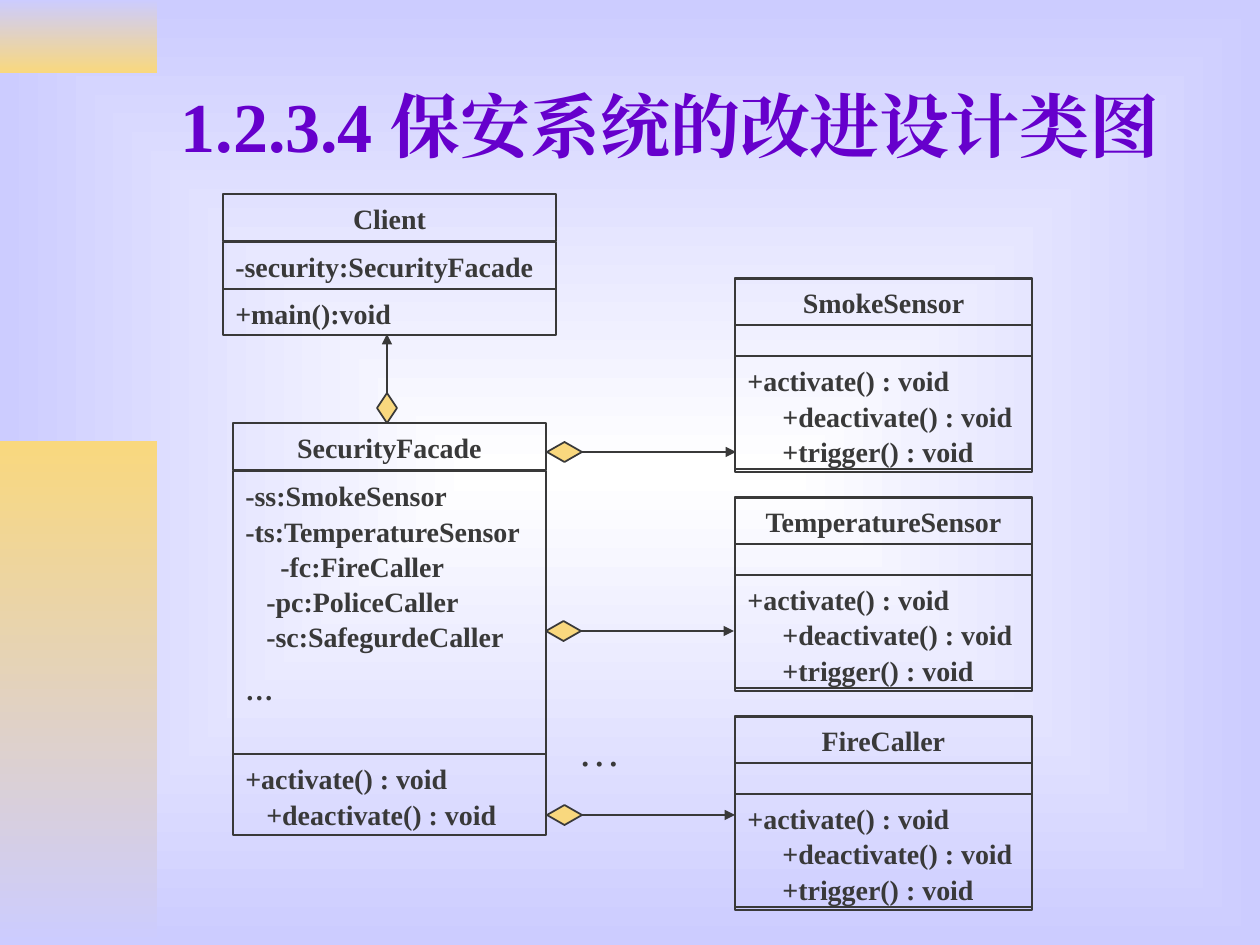
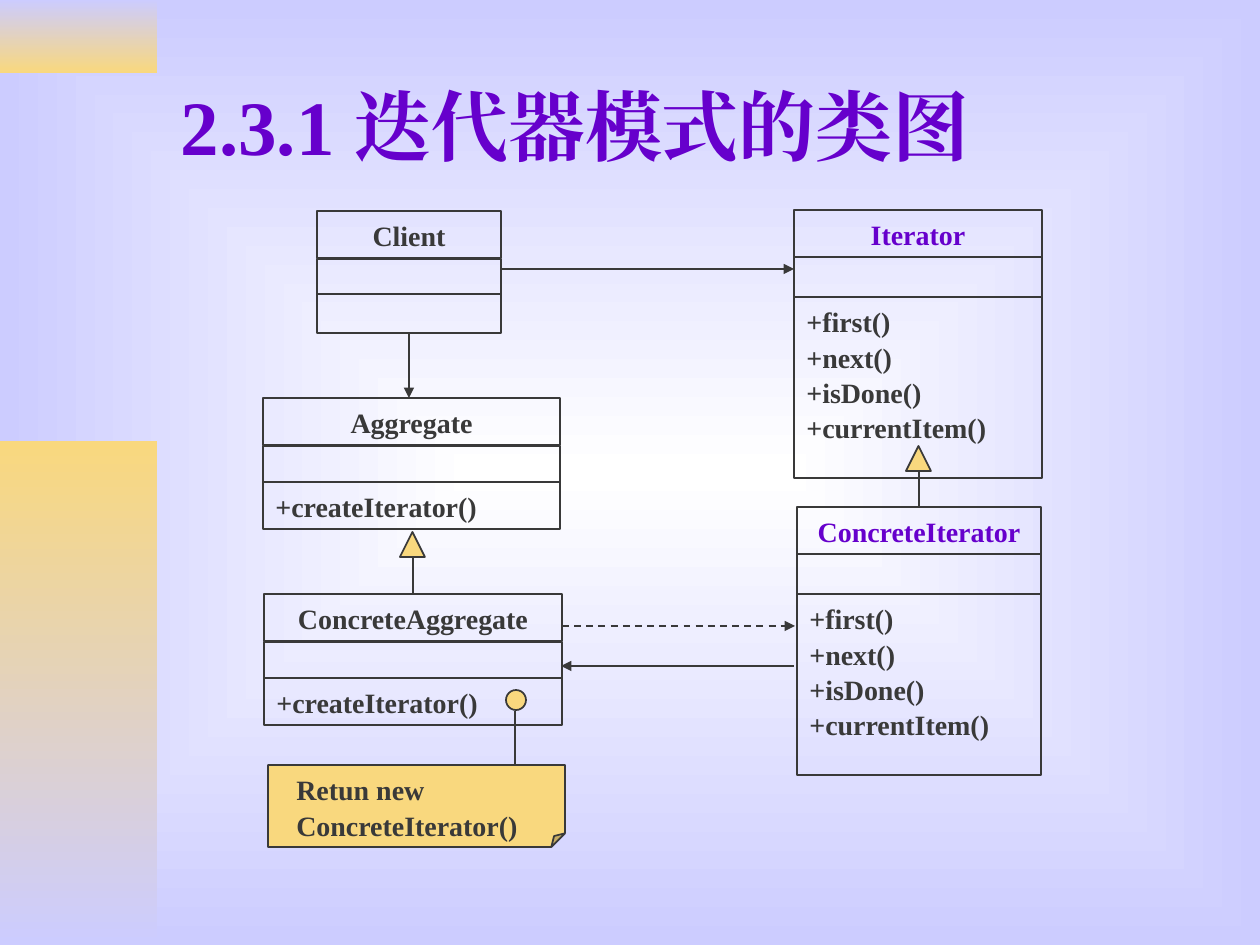
from pptx import Presentation
from pptx.dml.color import RGBColor
from pptx.enum.dml import MSO_LINE_DASH_STYLE as Dash
from pptx.enum.shapes import MSO_CONNECTOR, MSO_SHAPE as Shape
from pptx.enum.text import MSO_ANCHOR as Anchor, MSO_AUTO_SIZE as AutoSize, PP_ALIGN as Align
from pptx.oxml import parse_xml
from pptx.oxml.ns import nsdecls, qn
from pptx.util import Pt

PX = 914400 / 126
FONT = "Times New Roman"
INK = RGBColor(0x39, 0x39, 0x39)
PURPLE = RGBColor(0x66, 0x00, 0xCC)
GOLD = RGBColor(0xF9, 0xD8, 0x7E)
LAVENDER = RGBColor(0xCC, 0xCC, 0xFF)
WHITE = RGBColor(0xFF, 0xFF, 0xFF)

HEADER_HEIGHT = 47
BANDS = [((0, 0, 157, 73), (LAVENDER, GOLD)), ((0, 441, 157, 504), (GOLD, LAVENDER))]
TITLE_AREA = (168, 42, 1071, 166)
TITLE_FORMAT = {"vertical_anchor": Anchor.MIDDLE, "auto_size": AutoSize.NONE, "word_wrap": True}

SENSOR_METHODS = [(0, "+activate() : void"), (35, "+deactivate() : void"), (35, "+trigger() : void")]
SENSOR_BOXES = [(1, 193, []), (78, 113, SENSOR_METHODS)]
SENSORS = ["SmokeSensor", "TemperatureSensor", "FireCaller"]
FACADE_FIELDS = [
    (0, "-ss:SmokeSensor"),
    (0, "-ts:TemperatureSensor"),
    (35, "-fc:FireCaller"),
    (21, "-pc:PoliceCaller"),
    (21, "-sc:SafegurdeCaller"),
    (0, "…"),
]
FACADE_METHODS = [(0, "+activate() : void"), (21, "+deactivate() : void")]
ITERATOR_METHODS = [(0, name) for name in ("+first()", "+next()", "+isDone()", "+currentItem()")]
ITERATOR_BOXES = [(47, 40, []), (87, 181, ITERATOR_METHODS)]
AGGREGATE_BOXES = [(48, 36, []), (84, 47, [(0, "+createIterator()")])]

SECURITY = {
    "title": ("1.2.3.4 保安系统的改进设计类图", 40),
    "classes": [
        ("Client", 223, 194, 333, INK,
         [(48, 47, [(0, "-security:SecurityFacade")]), (95, 46, [(0, "+main():void")])]),
        ("SecurityFacade", 233, 423, 313, INK, [(48, 283, FACADE_FIELDS), (331, 81, FACADE_METHODS)]),
        *[(name, 735, 278 + 219 * row, 297, INK, SENSOR_BOXES) for row, name in enumerate(SENSORS)],
    ],
    "marks": [
        ("owns smoke", Shape.DIAMOND, (547, 442, 35, 20)),
        ("owns temperature", Shape.DIAMOND, (546, 621, 35, 20)),
        ("owns caller", Shape.DIAMOND, (547, 805, 35, 20)),
        ("owns client", Shape.DIAMOND, (377, 393, 20, 30)),
    ],
    "lines": [
        (("owns smoke", 3), (736, 452), True, False),
        (("owns temperature", 3), (734, 631), True, False),
        (("owns caller", 3), (735, 815), True, False),
        (("owns client", 0), (387, 334), True, False),
    ],
    "remarks": [("…", (566, 716, 118, 63), 24, False)],
}
ITERATOR = {
    "title": ("2.3.1 迭代器模式的类图", 44),
    "classes": [
        ("Client", 317, 211, 184, INK, [(48, 35, []), (83, 39, [])]),
        ("Iterator", 794, 210, 248, PURPLE, ITERATOR_BOXES),
        ("Aggregate", 263, 398, 297, INK, AGGREGATE_BOXES),
        ("ConcreteIterator", 797, 507, 244, PURPLE, ITERATOR_BOXES),
        ("ConcreteAggregate", 264, 594, 298, INK, AGGREGATE_BOXES),
    ],
    "marks": [
        ("is an iterator", Shape.ISOSCELES_TRIANGLE, (906, 446, 25, 25)),
        ("is an aggregate", Shape.ISOSCELES_TRIANGLE, (400, 532, 25, 25)),
        ("note", Shape.FOLDED_CORNER, (268, 765, 297, 82)),
        ("note anchor", Shape.OVAL, (506, 690, 20, 20)),
    ],
    "lines": [
        ((919, 471), ("ConcreteIterator", 0), False, False),
        ((413, 557), ("ConcreteAggregate", 0), False, False),
        (("Client", 2), (409, 398), True, False),
        ((501, 269), (794, 269), True, False),
        ((794, 666), (561, 666), True, False),
        ((562, 626), (795, 626), True, True),
        ((515, 765), (515, 711), False, False),
    ],
    "remarks": [("Retun new ConcreteIterator()", (284, 765, 266, 81), 16, True)],
}


def px(*lengths):
    return [round(length * PX) for length in lengths]


def assign(target, values):
    for key, value in values.items():
        setattr(target, key, value)


def write(frame, lines, size=16, color=INK, bold=True, align=Align.LEFT, spacing=1.05):
    for index, (indent, text) in enumerate(lines):
        paragraph = frame.paragraphs[0] if index == 0 else frame.add_paragraph()
        run = paragraph.add_run()
        run.text = text
        assign(paragraph, {"alignment": align, "line_spacing": spacing,
                           "space_before": Pt(10 if index and text == "…" else 0)})
        paragraph._p.get_or_add_pPr().set("marL", str(px(indent)[0]))
        assign(run.font, {"name": FONT, "size": Pt(size), "bold": bold})
        run.font.color.rgb = color
        run._r.rPr.append(parse_xml(f'<a:ea {nsdecls("a")} typeface="{FONT}"/>'))


def add_outlined(slide, kind, area, fill=None):
    outlined = slide.shapes.add_shape(kind, *px(*area))
    outlined.shadow.inherit = False
    outlined.line.color.rgb = INK
    outlined.line.width = Pt(1)
    if fill is None:
        outlined.fill.background()
    else:
        outlined.fill.solid()
        outlined.fill.fore_color.rgb = fill
    assign(outlined.text_frame, {"word_wrap": True, "vertical_anchor": Anchor.TOP})
    return outlined


def add_class(slide, name, x, y, width, color, boxes):
    header = add_outlined(slide, Shape.RECTANGLE, (x, y, width, HEADER_HEIGHT))
    write(header.text_frame, [(0, name)], color=color, align=Align.CENTER)
    for offset, height, lines in boxes:
        box = add_outlined(slide, Shape.RECTANGLE, (x, y + offset, width, height))
        write(box.text_frame, lines)
    return {0: header, 2: box}


def add_line(slide, parts, start, end, arrow, dashed):
    joined = [isinstance(point[0], str) for point in (start, end)]
    corners = [(0, 0) if join else point for join, point in zip(joined, (start, end))]
    line = slide.shapes.add_connector(MSO_CONNECTOR.STRAIGHT, *px(*corners[0], *corners[1]))
    for join, connect, point in zip(joined, (line.begin_connect, line.end_connect), (start, end)):
        if join:
            name, side = point
            connect(parts[name][side], side)
    line.line.color.rgb = INK
    line.line.width = Pt(1)
    if dashed:
        line.line.dash_style = Dash.DASH
    if arrow:
        line.line._get_or_add_ln().append(parse_xml(f'<a:tailEnd {nsdecls("a")} type="triangle"/>'))
    line._element.spPr.append(parse_xml(f'<a:effectLst {nsdecls("a")}/>'))


def color_gradient(fill, colors):
    fill.gradient()
    for stop, color in zip(fill.gradient_stops, colors):
        stop.color.rgb = color


def decorate_master(master, slide):
    color_gradient(master.background.fill, (WHITE, LAVENDER))
    gradient = next(master.element.iter(qn("a:gradFill")))
    gradient.remove(gradient.find(qn("a:lin")))
    gradient.append(parse_xml(
        f'<a:path {nsdecls("a")} path="rect">'
        '<a:fillToRect l="50000" t="50000" r="50000" b="50000"/></a:path>'))
    for index, (area, colors) in enumerate(BANDS):
        band = add_outlined(slide, Shape.RECTANGLE, area)
        color_gradient(band.fill, colors)
        band.fill.gradient_angle = 270
        band.line.fill.background()
        band._element.nvSpPr.cNvPr.set("id", str(100 + index))
        master.shapes._spTree.insert(2 + index, band._element)


def fill_slide(slide, content):
    text, size = content["title"]
    title = slide.shapes.title
    assign(title, dict(zip(("left", "top", "width", "height"), px(*TITLE_AREA))))
    assign(title.text_frame, TITLE_FORMAT)
    write(title.text_frame, [(0, text)], size, PURPLE, spacing=1.0)

    parts = {spec[0]: add_class(slide, *spec) for spec in content["classes"]}
    for name, kind, area in content["marks"]:
        parts[name] = dict.fromkeys(range(4), add_outlined(slide, kind, area, GOLD))
    for spec in content["lines"]:
        add_line(slide, parts, *spec)
    for text, area, size, bold in content["remarks"]:
        remark = slide.shapes.add_textbox(*px(*area))
        remark.text_frame.word_wrap = True
        write(remark.text_frame, [(0, text)], size, bold=bold)


def main():
    deck = Presentation()
    deck.slide_width, deck.slide_height = px(1260, 945)
    layout = deck.slide_layouts[5]
    slides = [deck.slides.add_slide(layout) for _ in range(2)]
    decorate_master(deck.slide_master, slides[0])
    for slide, content in zip(slides, (SECURITY, ITERATOR)):
        fill_slide(slide, content)
    deck.save("out.pptx")


if __name__ == "__main__":
    main()
